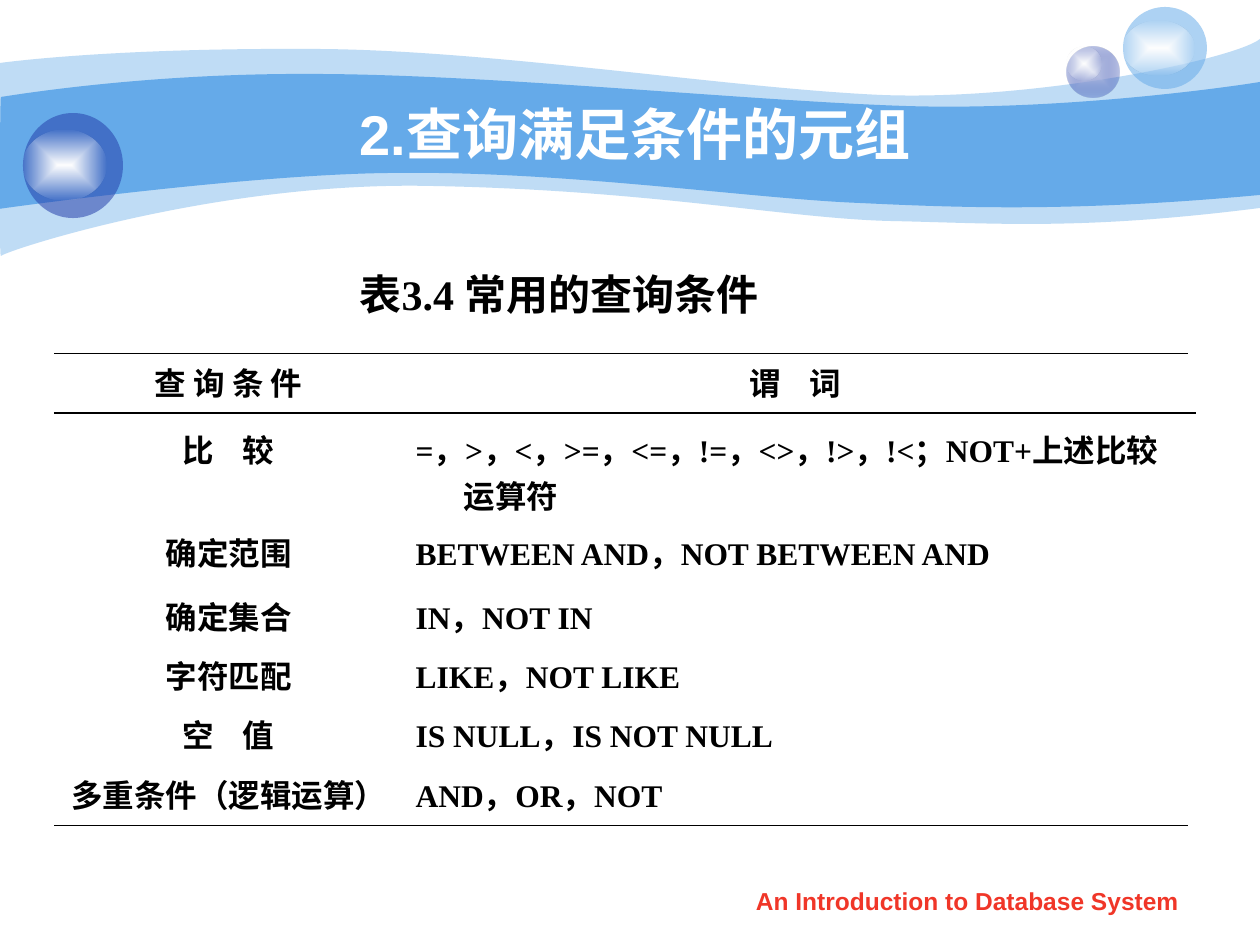
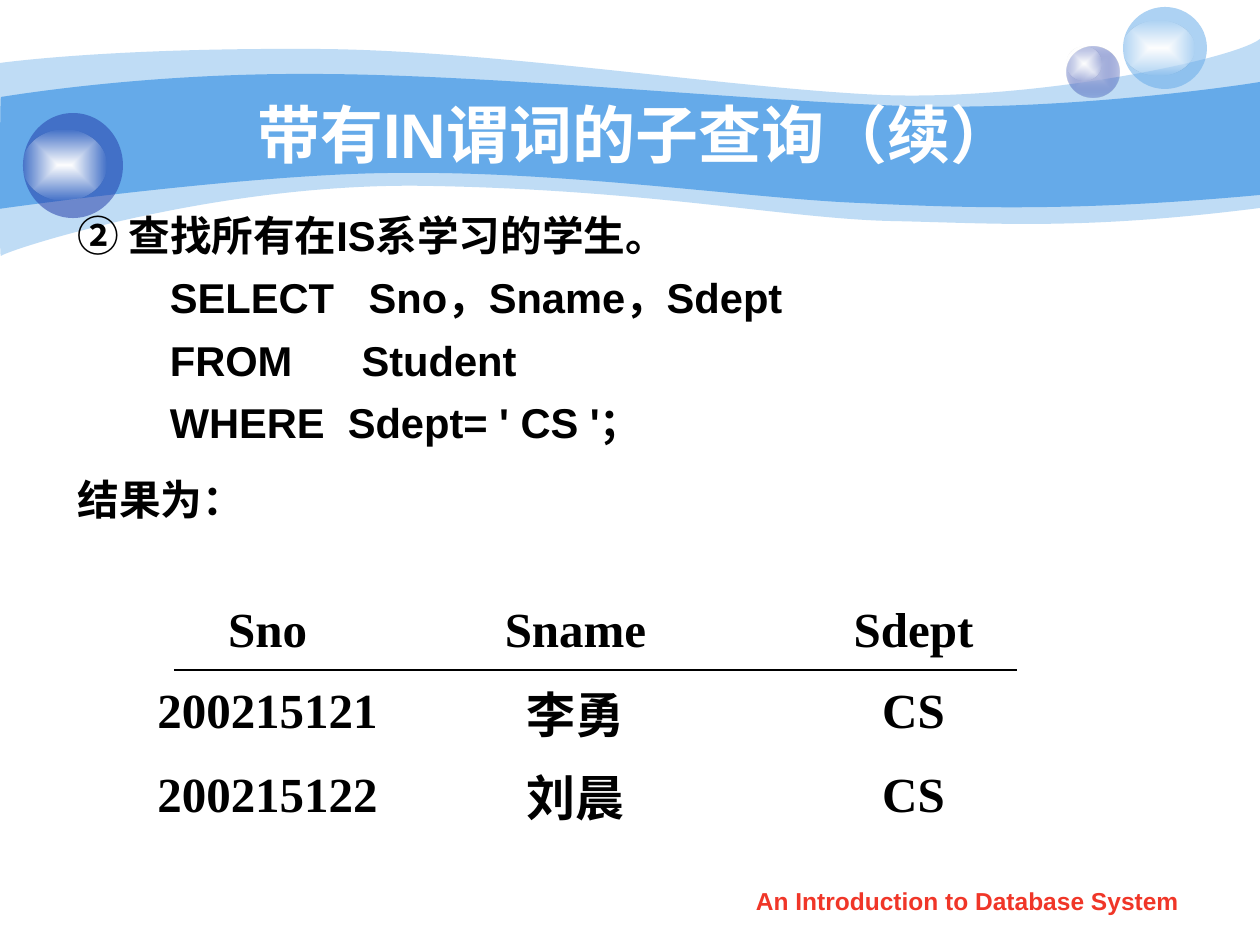
from pptx import Presentation
from pptx import util as u
from pptx.dml.color import RGBColor
from pptx.enum import shapes, text
from pptx.oxml import parse_xml
from pptx.oxml.ns import nsdecls, qn

SCALE = 914400 / 126  # EMU per px
SKY = RGBColor(0x65, 0xAA, 0xE9)
NAVY = RGBColor(0x23, 0x3D, 0xA9)
LAVENDER = RGBColor(0xC7, 0xCE, 0xE9)
RED = RGBColor(0xF0, 0x36, 0x28)
WHITE = RGBColor(0xFF, 0xFF, 0xFF)
BLACK = RGBColor(0, 0, 0)
SANS, SERIF = "Arial", "Times New Roman"
LEFT, CENTER = text.PP_ALIGN.LEFT, text.PP_ALIGN.CENTER
PLAIN_TABLE = "{2D5ABB26-0587-4C30-8999-92F81FD0307C}"
HANG = 48


def px(*lengths):
    return [u.Emu(round(length * SCALE)) for length in lengths]


def write(paragraph, words, size, face, color=BLACK, align=CENTER, hang=0):
    """Fill a paragraph with bold words and a hanging indent in px."""
    paragraph.text = words
    paragraph.alignment = align
    props = paragraph._p.get_or_add_pPr()
    indent = px(hang)[0]
    props.set("marL", str(indent))
    props.set("indent", str(-indent))
    props.append(parse_xml(f"<a:buNone {nsdecls('a')}/>"))
    for run in paragraph.runs:
        run.font.size = u.Pt(size)
        run.font.name = face
        run.font.bold = True
        run.font.color.rgb = color


prs = Presentation()
prs.slide_width, prs.slide_height = px(1260, 945)
conditions = prs.slides.add_slide(prs.slide_layouts[5])
subquery = prs.slides.add_slide(prs.slide_layouts[1])

# Master decoration: two waves, then three glossy balls.
# A wave is a start point, three curves, the straight right edge, four curves;
# a curve is two control points and an end point.
light_wave = [
    (0, 63),
    (30, 59), (135, 48), (311, 49),
    (486, 49), (725, 88), (881, 95),
    (1036, 101), (1235, 59), (1260, 39),
    (1260, 208),
    (1079, 231), (992, 223), (888, 221),
    (784, 218), (649, 190), (432, 186),
    (217, 181), (5, 251), (1, 256),
    (-1, 262), (0, 95), (0, 63),
]
dark_wave = [
    (1, 97),
    (3, 97), (139, 73), (312, 74),
    (486, 74), (750, 101), (905, 106),
    (1060, 111), (1230, 87), (1260, 82),
    (1260, 195),
    (1075, 212), (964, 208), (859, 203),
    (755, 199), (564, 171), (399, 173),
    (256, 173), (-3, 209), (-1, 209),
    (0, 209), (0, 97), (1, 97),
]
CURVE_STARTS = (0, 3, 6, 10, 13, 16, 19)
decoration = []  # shape with its (colour, opacity in %) stops
for wave, opacity in ((light_wave, 41), (dark_wave, 100)):
    builder = conditions.shapes.build_freeform(*px(*wave[0]), scale=1.0)
    builder.add_line_segments([px(*point) for point in wave[1:]], close=True)
    band = builder.convert_to_shape()
    segments = band.element.xpath(".//a:lnTo")
    for start in CURVE_STARTS:
        curve = parse_xml(f"<a:cubicBezTo {nsdecls('a')}/>")
        segments[start].addprevious(curve)
        for segment in segments[start:start + 3]:
            curve.append(segment[0])
            segment.getparent().remove(segment)
    decoration.append((band, [(SKY, opacity)]))

gloss = [(WHITE, 100), (WHITE, 0)]
balls = [
    ((1067, 47, 53, 51), [(LAVENDER, 100), (NAVY, 31)]),
    ((1067, 47, 35, 34), gloss),
    ((1123, 7, 84, 82), [(SKY, 53)]),
    ((1123, 21, 71, 54), gloss),
    ((23, 113, 100, 105), [(NAVY, 53)]),
    ((23, 130, 83, 70), gloss),
]
for box, stops in balls:
    ball = conditions.shapes.add_shape(shapes.MSO_SHAPE.OVAL, *px(*box))
    decoration.append((ball, stops))

for number, (shape, stops) in enumerate(decoration, start=20):
    shape.shadow.inherit = False
    shape.line.fill.background()
    shape.fill.solid()
    shape.fill.fore_color.rgb = stops[0][0]
    solid = shape.element.spPr.find(qn("a:solidFill"))
    tints = [f'<a:srgbClr val="{color}"><a:alpha val="{opacity * 1000}"/></a:srgbClr>'
             for color, opacity in stops]
    if len(stops) == 1:
        paint = f"<a:solidFill {nsdecls('a')}>{tints[0]}</a:solidFill>"
    else:
        paint = (f"<a:gradFill {nsdecls('a')} rotWithShape=\"1\"><a:gsLst>"
                 f'<a:gs pos="0">{tints[0]}</a:gs><a:gs pos="100000">{tints[1]}</a:gs></a:gsLst>'
                 '<a:path path="rect"><a:fillToRect l="50000" t="50000" r="50000" b="50000"/>'
                 "</a:path></a:gradFill>")
    solid.getparent().replace(solid, parse_xml(paint))
    shape.element.nvSpPr.cNvPr.set("id", str(number))
    prs.slide_master.shapes.element.append(shape.element)

# Titles and footers
for slide, heading, size in (
    (conditions, "2.查询满足条件的元组", 32),
    (subquery, "带有IN谓词的子查询（续）", 36),
):
    footer = slide.shapes.add_textbox(*px(719, 880, 497, 44)).text_frame
    footer.word_wrap = True
    write(footer.paragraphs[0], "An Introduction to Database System", 14, SANS, RED)
    title = slide.shapes.title
    title.left, title.top, title.width, title.height = px(126, 94, 1019, 78)
    title.text_frame.auto_size = text.MSO_AUTO_SIZE.NONE
    title.text_frame.vertical_anchor = text.MSO_ANCHOR.MIDDLE
    write(title.text_frame.paragraphs[0], heading, size, SANS, WHITE)

# Query text of the second slide: line and exact line height in points
query = [
    ("② 查找所有在IS系学习的学生。", 28.5),
    ("        SELECT   Sno，Sname，Sdept", 28.5),
    ("        FROM      Student", 28.5),
    ("        WHERE  Sdept= ' CS '；", 28.5),
    ("结果为：", 37),
]
body = subquery.placeholders[1]
body.left, body.top, body.width, body.height = px(65, 204, 905, 320)
body.text_frame.auto_size = text.MSO_AUTO_SIZE.NONE
for i, (line, height) in enumerate(query):
    paragraph = body.text_frame.add_paragraph() if i else body.text_frame.paragraphs[0]
    paragraph.line_spacing = u.Pt(height)
    paragraph.space_before = u.Pt(7 if i else 0)
    write(paragraph, line, 23.8, SANS, align=LEFT, hang=HANG)

# Tables, each with a rule under its header
predicates = [
    ("查 询 条 件", "谓    词"),
    ("比    较", "=，>，<，>=，<=，!=，<>，!>，!<；NOT+上述比较运算符"),
    ("确定范围", "BETWEEN AND，NOT BETWEEN AND"),
    ("确定集合", "IN，NOT IN"),
    ("字符匹配", "LIKE，NOT LIKE"),
    ("空    值", "IS NULL，IS NOT NULL"),
    ("多重条件（逻辑运算）", "AND，OR，NOT"),
]
students = [
    ("Sno", "Sname", "Sdept"),
    ("200215121", "李勇", "CS"),
    ("200215122", "刘晨", "CS"),
]
for slide, rows, corner, widths, heights, size, anchor, framed, rule in (
    (conditions, predicates, (54, 353), (349, 785), (67, 103, 64, 59, 59, 60, 60),
     18, text.MSO_ANCHOR.TOP, True, (54, 413, 1196, 413)),
    (subquery, students, (124, 591), (287, 329, 347), (79, 84, 83),
     28, text.MSO_ANCHOR.MIDDLE, False, (174, 670, 1017, 670)),
):
    frame = slide.shapes.add_table(len(rows), len(widths),
                                   *px(*corner, sum(widths), sum(heights)))
    frame.element.xpath(".//a:tableStyleId")[0].text = PLAIN_TABLE
    table = frame.table
    table.first_row = table.horz_banding = False
    for column, width in zip(table.columns, px(*widths)):
        column.width = width
    for row, height in zip(table.rows, px(*heights)):
        row.height = height
    for r, values in enumerate(rows):
        for c, value in enumerate(values):
            cell = table.cell(r, c)
            cell.vertical_anchor = anchor
            cell.fill.background()
            align = LEFT if framed and r and c else CENTER
            write(cell.text_frame.paragraphs[0], value, size, SERIF, align=align, hang=HANG)
            edge = {0: "lnT", len(rows) - 1: "lnB"}.get(r)
            if framed and edge:
                cell._tc.get_or_add_tcPr().insert(0, parse_xml(
                    f"<a:{edge} {nsdecls('a')} w=\"5715\"><a:solidFill>"
                    f'<a:srgbClr val="{BLACK}"/></a:solidFill></a:{edge}>'))
    header_rule = slide.shapes.add_connector(shapes.MSO_CONNECTOR.STRAIGHT, *px(*rule))
    header_rule.line.color.rgb = BLACK
    header_rule.line.width = u.Pt(0.75)
    header_rule.element.spPr.append(parse_xml(f"<a:effectLst {nsdecls('a')}/>"))

caption = conditions.shapes.add_textbox(*px(290, 262, 538, 63)).text_frame
caption.word_wrap = False
caption.auto_size = text.MSO_AUTO_SIZE.SHAPE_TO_FIT_TEXT
write(caption.paragraphs[0], "表3.4 常用的查询条件", 24, SERIF, hang=HANG)

prs.save("out.pptx")
